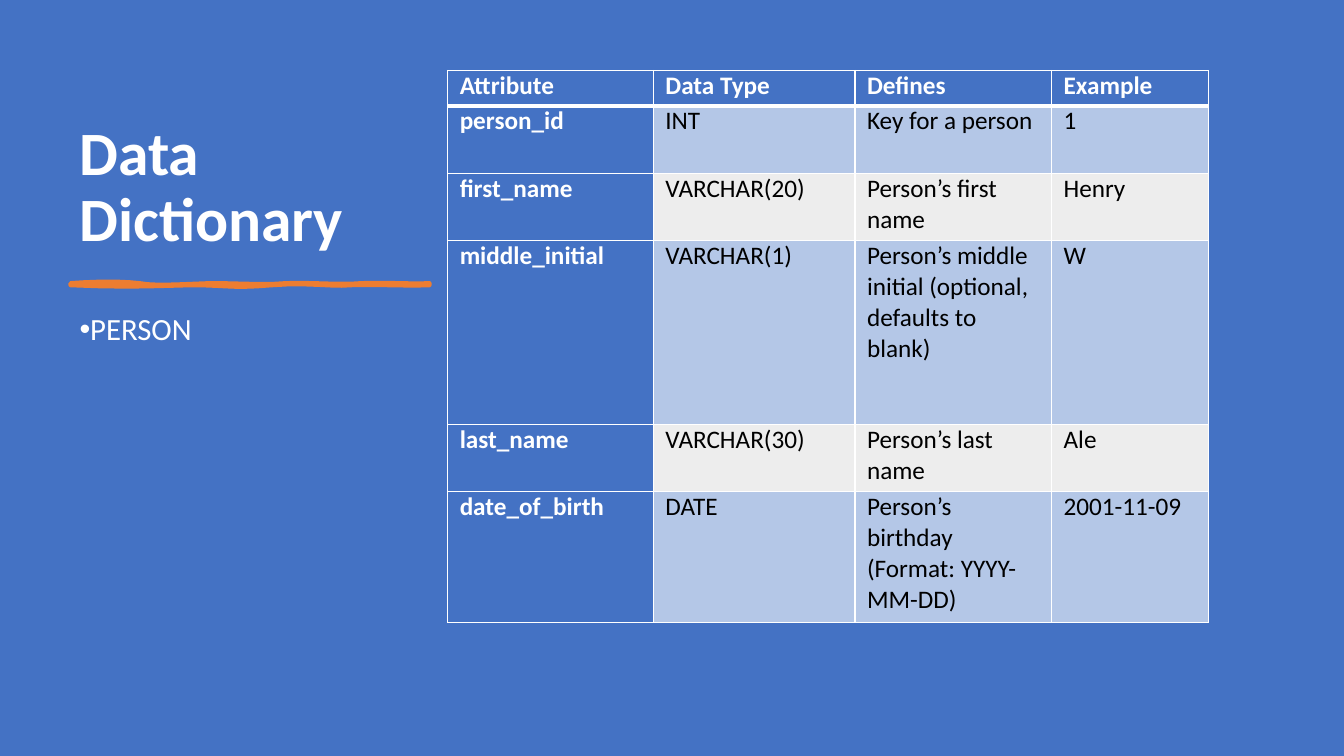
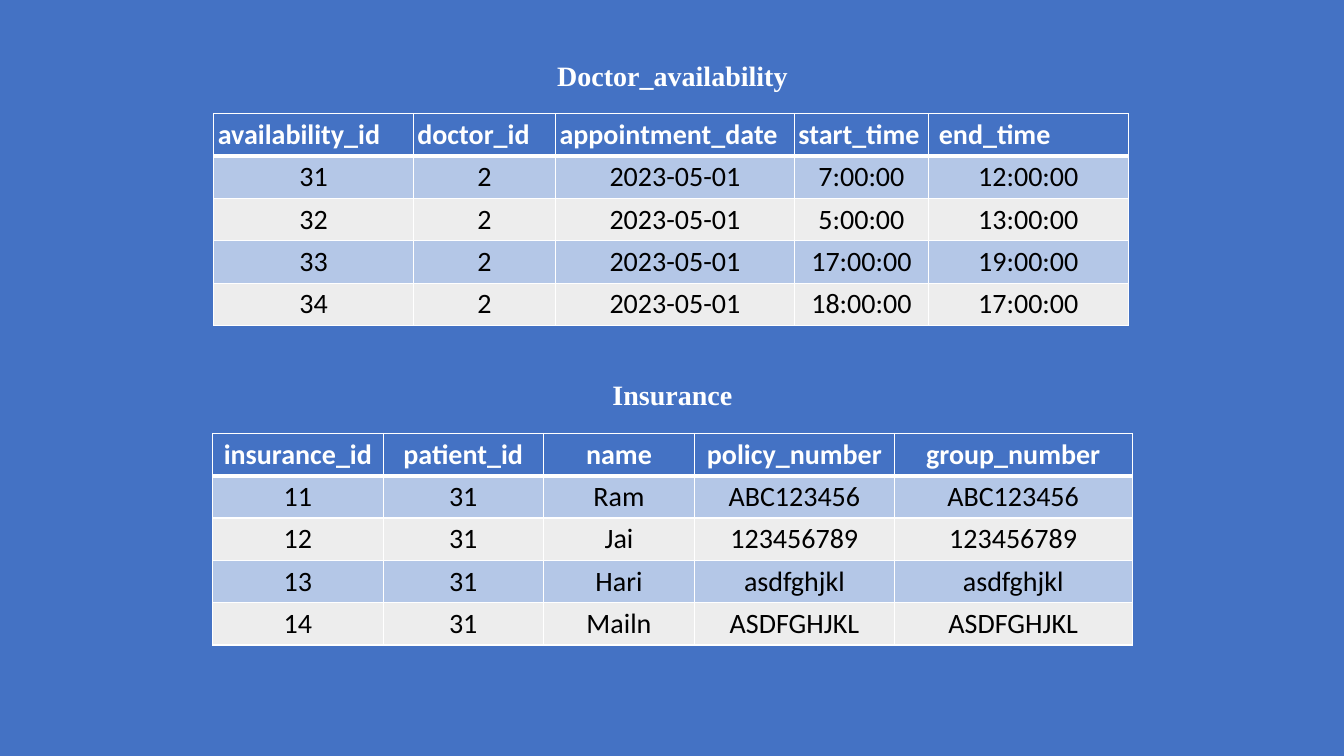
import pptx
import pptx.util
import pptx.dml.color
import pptx.enum.text
import pptx.oxml.ns
import lxml.etree

Inches = pptx.util.Inches
Pt = pptx.util.Pt
RGBColor = pptx.dml.color.RGBColor
ALIGN = pptx.enum.text.PP_ALIGN
ANCHOR = pptx.enum.text.MSO_ANCHOR
qn = pptx.oxml.ns.qn

BLUE = RGBColor(0x44, 0x72, 0xC4)
ORANGE = RGBColor(0xED, 0x7D, 0x31)
WHITE = RGBColor(0xFF, 0xFF, 0xFF)
BLACK = RGBColor(0, 0, 0)
BANDS = (RGBColor(0xB4, 0xC7, 0xE7), RGBColor(0xED, 0xED, 0xED))

STROKE_START = (0.7, 2.81)
STROKE_CURVES = [
    (0.97, 2.79, 1.21, 2.79, 1.38, 2.81),
    (1.55, 2.84, 1.77, 2.82, 2.09, 2.81),
    (2.41, 2.81, 2.6, 2.83, 2.84, 2.81),
    (3.08, 2.8, 3.39, 2.83, 3.59, 2.81),
    (3.79, 2.8, 4.12, 2.82, 4.26, 2.81),
    (4.26, 2.82, 4.26, 2.83, 4.26, 2.83),
    (4.08, 2.84, 3.64, 2.82, 3.48, 2.83),
    (3.32, 2.85, 3.04, 2.8, 2.7, 2.83),
    (2.35, 2.86, 2.31, 2.84, 1.99, 2.83),
    (1.66, 2.83, 1.32, 2.86, 0.7, 2.83),
]

DICTIONARY = [
    ("Attribute", "Data Type", "Defines", "Example"),
    ("person_id", "INT", "Key for a person", "1"),
    ("first_name", "VARCHAR(20)", "Person’s first name", "Henry"),
    ("middle_initial", "VARCHAR(1)",
     "Person’s middle initial (optional, defaults to blank)", "W"),
    ("last_name", "VARCHAR(30)", "Person’s last name", "Ale"),
    ("date_of_birth", "DATE",
     "Person’s birthday (Format: YYYY-MM-DD)", "2001-11-09"),
]
AVAILABILITY = [
    ("availability_id", "doctor_id", "appointment_date", "start_time", " end_time"),
    ("31", "2", "2023-05-01", "7:00:00", "12:00:00"),
    ("32", "2", "2023-05-01", "5:00:00", "13:00:00"),
    ("33", "2", "2023-05-01", "17:00:00", "19:00:00"),
    ("34", "2", "2023-05-01", "18:00:00", "17:00:00"),
]
INSURANCE = [
    ("insurance_id", "patient_id", "name", "policy_number", "group_number"),
    ("11", "31", "Ram", "ABC123456", "ABC123456"),
    ("12", "31", "Jai", "123456789", "123456789"),
    ("13", "31", "Hari", "asdfghjkl", "asdfghjkl"),
    ("14", "31", "Mailn", "ASDFGHJKL", "ASDFGHJKL"),
]


def curve_points(start, curves, steps=6):
    x0, y0 = start
    for x1, y1, x2, y2, x3, y3 in curves:
        for i in range(1, steps + 1):
            t = i / steps
            u = 1 - t
            a, b, c, d = u ** 3, 3 * u * u * t, 3 * u * t * t, t ** 3
            yield (Inches(a * x0 + b * x1 + c * x2 + d * x3),
                   Inches(a * y0 + b * y1 + c * y2 + d * y3))
        x0, y0 = x3, y3


class Deck:
    font = "Calibri"
    caption_font = "Times New Roman"

    def __init__(self):
        self.prs = pptx.Presentation()
        self.prs.slide_width = Inches(13.33)
        self.prs.slide_height = Inches(7.5)
        self.s = None

    def slide(self):
        self.s = self.prs.slides.add_slide(self.prs.slide_layouts[6])
        fill = self.s.background.fill
        fill.solid()
        fill.fore_color.rgb = BLUE

    def style(self, p, size, color=WHITE, bold=False, font=None):
        for r in p.runs:
            r.font.name = font or self.font
            r.font.size = Pt(size)
            r.font.bold = bold
            r.font.color.rgb = color

    def text(self, text, x, y, w, h, size, **look):
        tf = self.s.shapes.add_textbox(
            Inches(x), Inches(y), Inches(w), Inches(h)).text_frame
        tf.word_wrap = True
        tf.text = text
        p = tf.paragraphs[0]
        self.style(p, size, **look)
        return tf, p

    def title(self, text):
        tf, p = self.text(text, 0.69, 0.7, 3.75, 1.88, 44, bold=True)
        tf.vertical_anchor = ANCHOR.BOTTOM
        p.line_spacing = 0.9

    def bullet(self, text):
        tf, p = self.text(text, 0.69, 3.07, 3.75, 3.73, 22)
        p.line_spacing = 0.9
        p.space_after = Pt(6)
        pPr = p._p.get_or_add_pPr()
        pPr.set("marL", "0")
        pPr.set("indent", str(-Inches(0.25)))
        lxml.etree.SubElement(pPr, qn("a:buFont"), typeface="Arial")
        lxml.etree.SubElement(pPr, qn("a:buChar"), char="•")

    def caption(self, text, y):
        tf, p = self.text(text, 5.17, y, 3, 0.44, 20, bold=True,
                          font=self.caption_font)
        p.alignment = ALIGN.CENTER

    def brush_stroke(self):
        x, y = STROKE_START
        fb = self.s.shapes.build_freeform(Inches(x), Inches(y))
        fb.add_line_segments(list(curve_points(STROKE_START, STROKE_CURVES)))
        sp = fb.convert_to_shape()
        sp.shadow.inherit = False
        sp.fill.solid()
        sp.fill.fore_color.rgb = ORANGE
        sp.line.color.rgb = ORANGE
        sp.line.width = Pt(3)
        lxml.etree.SubElement(sp.line._get_or_add_ln(), qn("a:round"))

    def border(self, cell, side, width):
        ln = lxml.etree.SubElement(cell._tc.get_or_add_tcPr(),
                                   qn("a:ln" + side), w=str(Pt(width)))
        fill = lxml.etree.SubElement(ln, qn("a:solidFill"))
        lxml.etree.SubElement(fill, qn("a:srgbClr"), val=str(WHITE))

    def table(self, rows, x, y, widths, heights, size, inset,
              head_column=False, head_align=None, body_align=None):
        tbl = self.s.shapes.add_table(
            len(rows), len(widths), Inches(x), Inches(y),
            Inches(sum(widths)), Inches(sum(heights))).table
        tbl.first_row = tbl.horz_banding = False
        for col, w in zip(tbl.columns, widths):
            col.width = Inches(w)
        for i, (row, h) in enumerate(zip(rows, heights)):
            tbl.rows[i].height = Inches(h)
            for j, text in enumerate(row):
                head = i == 0 or (head_column and j == 0)
                cell = tbl.cell(i, j)
                cell.margin_left = cell.margin_right = Inches(inset[0])
                cell.margin_top = cell.margin_bottom = Inches(inset[1])
                for side in "LRTB":
                    thick = (i, side) in ((0, "B"), (1, "T"))
                    self.border(cell, side, 3 if thick else 1)
                cell.fill.solid()
                cell.fill.fore_color.rgb = BLUE if head else BANDS[(i - 1) % 2]
                p = cell.text_frame.paragraphs[0]
                p.text = text
                p.alignment = head_align if i == 0 else body_align
                self.style(p, size, WHITE if head else BLACK, head)

    def records(self, caption, rows, x, y, widths, head_align=None):
        self.table(rows, x, y, widths, [0.42] * len(rows), 20, (0.04, 0.04),
                   head_align=head_align, body_align=ALIGN.CENTER)
        self.caption(caption, y - 0.6)


def main():
    deck = Deck()

    deck.slide()
    deck.title("Data Dictionary")
    deck.brush_stroke()
    deck.bullet("PERSON")
    deck.table(DICTIONARY, 4.44, 0.7, [2.04, 2, 1.95, 1.56],
               [0.35, 0.67, 0.67, 1.82, 0.67, 1.3], 18, (0.12, 0),
               head_column=True)

    deck.slide()
    deck.records("Doctor_availability", AVAILABILITY, 2.12, 1.13,
                 [1.98, 1.41, 2.37, 1.33, 1.98])
    deck.records("Insurance", INSURANCE, 2.11, 4.3,
                 [1.69, 1.59, 1.5, 1.98, 2.36], ALIGN.CENTER)

    deck.prs.save("out.pptx")


if __name__ == "__main__":
    main()
